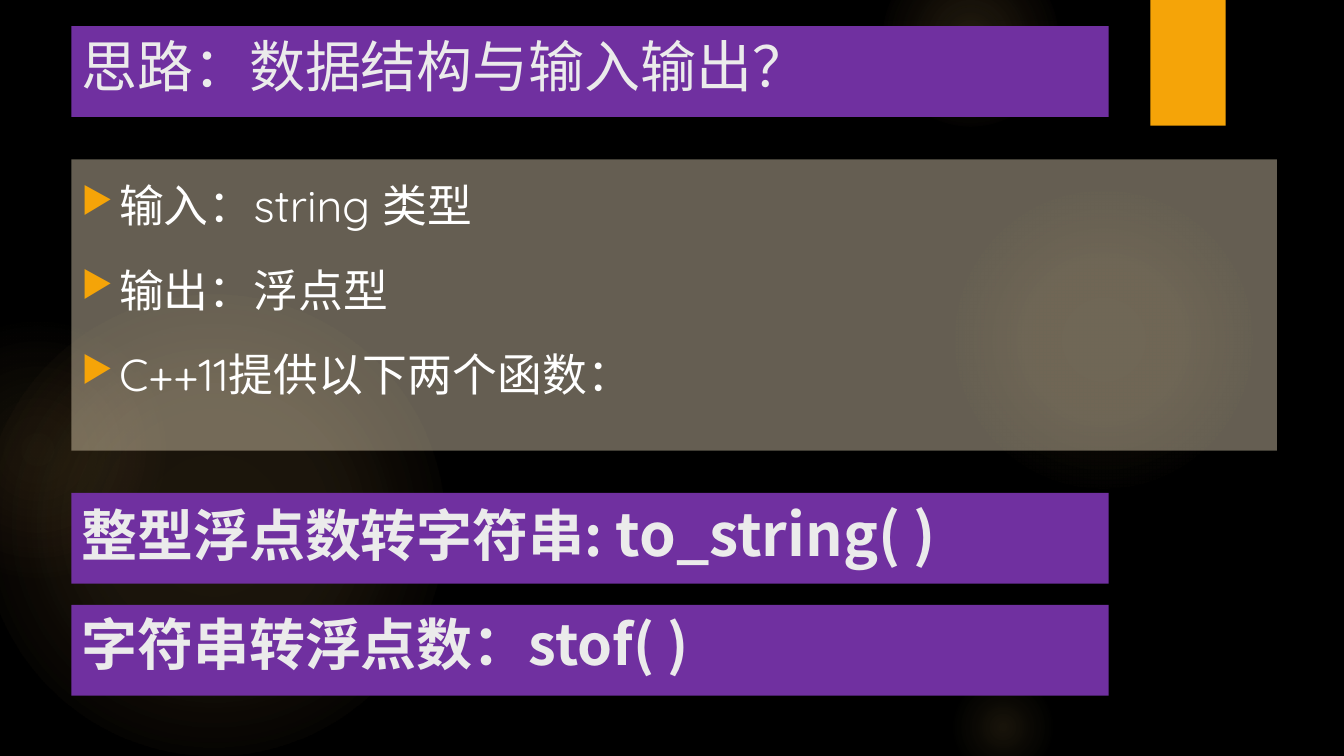
from lxml import etree
from pptx import Presentation
from pptx.dml.color import RGBColor
from pptx.enum.lang import MSO_LANGUAGE_ID as Language
from pptx.enum.shapes import MSO_SHAPE as Shape
from pptx.enum.text import MSO_ANCHOR as Anchor, PP_ALIGN as Align
from pptx.oxml import parse_xml
from pptx.oxml.ns import nsdecls, qn
from pptx.util import Cm, Pt

# Content
TITLE = "思路：数据结构与输入输出？"
POINTS = ["输入：string 类型", "输出：浮点型", "C++11提供以下两个函数："]
FUNCTIONS = [
    [("整型浮点数转字符串: ", 40), ("to_string( )", 42)],
    [("字符串转浮点数：stof( )", 40)],
]

# Glows: left, top, diameter in cm, then (position %, colour, opacity %)
GOLD, PEACH = "FAC96A", "F59B74"
GLOWS = [
    (-0.43, 7.42, 11.63, [(0, GOLD, 11), (36, GOLD, 10), (75, GOLD, 0)]),
    (-2.34, 8.05, 6.55, [(0, GOLD, 8), (36, GOLD, 5), (71, PEACH, 0)]),
    (23.9, 4.65, 7.82, [(0, GOLD, 7), (36, GOLD, 6), (69, GOLD, 0)]),
    (22.23, -1.27, 4.45, [(0, GOLD, 14), (36, GOLD, 7), (73, GOLD, 0)]),
    (23.9, 16.94, 2.74, [(0, GOLD, 10), (31, GOLD, 5), (66, GOLD, 0)]),
]

# Style and layout, in cm
ORANGE, PURPLE, CREAM = "F5A408", "7030A0", "FDEDCD"
LIGHT, WHITE, BLACK = "EBEBEB", "FFFFFF", "000000"
HEAD_FONT, STRONG_FONT = "Quicksand", "Noto Sans CJK SC"
LEFT, BAR_WIDTH, BAR_HEIGHT = 1.8, 26.14, 2.29
TITLE_TOP, FUNCTION_TOP, FUNCTION_STEP = 0.66, 12.42, 2.82


def color(code):
    return RGBColor.from_string(code)


def add_block(page, kind, left, top, width, height, fill=None):
    block = page.shapes.add_shape(kind, Cm(left), Cm(top), Cm(width), Cm(height))
    block.shadow.inherit = False
    block.line.fill.background()
    if fill:
        block.fill.solid()
        block.fill.fore_color.rgb = color(fill)
    frame = block.text_frame
    frame.word_wrap = True
    frame.vertical_anchor = Anchor.TOP
    return block


def add_glow(page, left, top, size, stops):
    glow = add_block(page, Shape.OVAL, left, top, size, size)
    stop_xml = "".join(
        f'<a:gs pos="{place * 1000}"><a:srgbClr val="{code}">'
        f'<a:alpha val="{opacity * 1000}"/></a:srgbClr></a:gs>'
        for place, code, opacity in stops)
    gradient = parse_xml(
        f'<a:gradFill {nsdecls("a")}><a:gsLst>{stop_xml}</a:gsLst>'
        '<a:path path="circle"><a:fillToRect l="50000" t="50000" r="50000" b="50000"/>'
        '</a:path></a:gradFill>')
    glow._element.spPr.find(qn("a:prstGeom")).addnext(gradient)


def add_span(para, text, size, font, code, bold=False):
    para.alignment = Align.LEFT
    span = para.add_run()
    span.text = text
    span.font.size = Pt(size)
    span.font.name = font
    span.font.bold = bold
    span.font.color.rgb = color(code)
    span.font.language_id = Language.SIMPLIFIED_CHINESE


def add_bar(page, top, spans, font, bold):
    bar = add_block(page, Shape.RECTANGLE, LEFT, top, BAR_WIDTH, BAR_HEIGHT, PURPLE)
    for text, size in spans:
        add_span(bar.text_frame.paragraphs[0], text, size, font, LIGHT, bold)


def add_bullet(para):
    props = para._p.get_or_add_pPr()
    props.set("marL", str(Cm(0.95)))
    props.set("indent", str(-Cm(0.95)))
    bullet_color = etree.SubElement(props, qn("a:buClr"))
    etree.SubElement(bullet_color, qn("a:srgbClr"), val=ORANGE)
    etree.SubElement(props, qn("a:buSzPct"), val="80000")
    etree.SubElement(props, qn("a:buChar"), char="▶")


def add_points(page):
    panel = add_block(page, Shape.RECTANGLE, LEFT, 4.02, 30.38, 7.34, CREAM)
    tint = panel._element.spPr.find(qn("a:solidFill"))[0]
    etree.SubElement(tint, qn("a:alpha"), val="40000")
    frame = panel.text_frame
    for index, text in enumerate(POINTS):
        para = frame.add_paragraph() if index else frame.paragraphs[0]
        para.line_spacing = 1.25
        para.space_before = Pt(6.4)
        para.space_after = Pt(6)
        add_bullet(para)
        add_span(para, text, 32, HEAD_FONT, WHITE)


def main():
    deck = Presentation()
    deck.slide_width, deck.slide_height = Cm(33.87), Cm(19.05)
    page = deck.slides.add_slide(deck.slide_layouts[6])
    page.background.fill.solid()
    page.background.fill.fore_color.rgb = color(BLACK)

    # Backdrop
    for glow in GLOWS:
        add_glow(page, *glow)
    add_block(page, Shape.RECTANGLE, 28.99, 0, 1.9, 3.17, ORANGE)

    # Title, points and function bars
    add_bar(page, TITLE_TOP, [(TITLE, 40)], HEAD_FONT, False)
    add_points(page)
    for index, spans in enumerate(FUNCTIONS):
        add_bar(page, FUNCTION_TOP + index * FUNCTION_STEP, spans, STRONG_FONT, True)

    deck.save("out.pptx")


if __name__ == "__main__":
    main()
